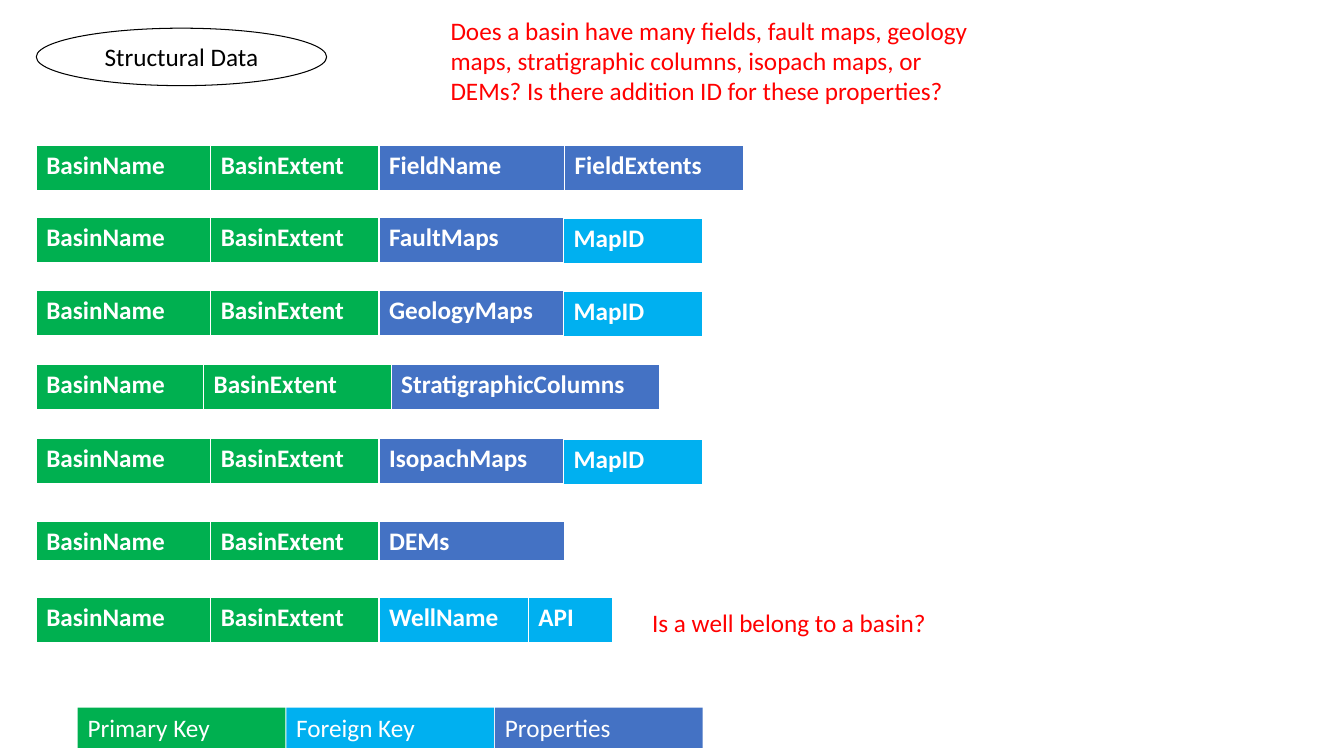
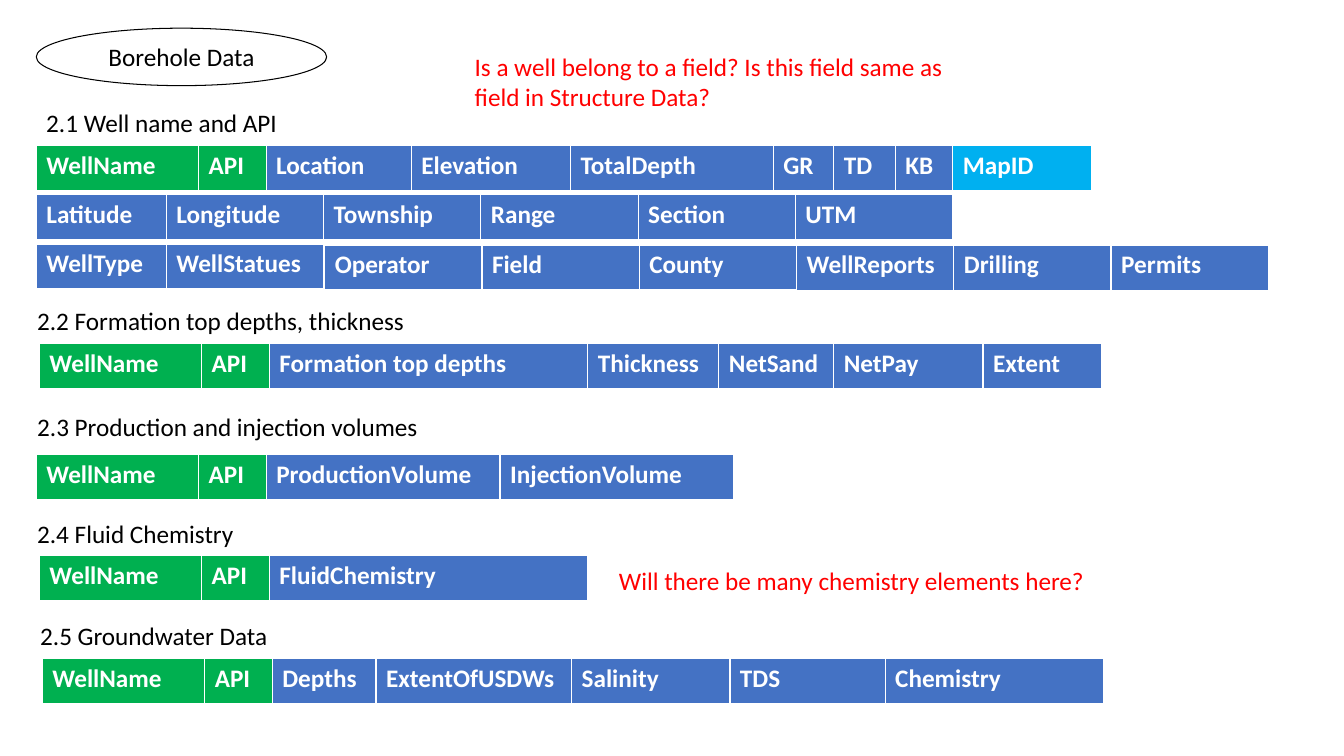
from dataclasses import dataclass
from typing import NamedTuple

from lxml import etree
from pptx import Presentation
from pptx.dml.color import RGBColor
from pptx.enum import shapes, text
from pptx.oxml import ns
from pptx.util import Inches, Pt

# Shared style
PRIMARY = RGBColor(0x00, 0xB0, 0x50)
FOREIGN = RGBColor(0x00, 0xB0, 0xF0)
PROPERTY = RGBColor(0x44, 0x72, 0xC4)
QUESTION = RGBColor(0xFF, 0x00, 0x00)
BLACK = RGBColor(0x00, 0x00, 0x00)
WHITE = RGBColor(0xFF, 0xFF, 0xFF)
FONT = "Calibri"
FONT_SIZE = Pt(18)
EDGE_POINTS = {"a:lnL": 1, "a:lnR": 1, "a:lnT": 1, "a:lnB": 3}
LEFT = 0.36
BAND_HEIGHT = 0.46
LINE_HEIGHT = 0.4


class Field(NamedTuple):
    name: str
    width: float
    fill: RGBColor = PROPERTY


@dataclass
class Band:
    """One row of fields, drawn as a single-row table."""
    left: float
    top: float
    fields: list[Field]
    height: float = BAND_HEIGHT


@dataclass
class Label:
    wording: str
    left: float
    top: float
    width: float
    height: float = LINE_HEIGHT
    color: RGBColor = BLACK


@dataclass
class Page:
    title: str
    labels: list[Label]
    bands: list[Band]


# Drawing functions
def write(frame, wording: str, color: RGBColor, bold: bool = False,
          align=text.PP_ALIGN.LEFT) -> None:
    paragraph = frame.paragraphs[0]
    paragraph.alignment = align
    run = paragraph.add_run()
    run.text = wording
    run.font.name, run.font.size = FONT, FONT_SIZE
    run.font.bold = bold
    run.font.color.rgb = color


def draw_title(slide, title: str) -> None:
    oval = slide.shapes.add_shape(
        shapes.MSO_SHAPE.OVAL, Inches(LEFT), Inches(0.28), Inches(2.88), Inches(0.57))
    oval.shadow.inherit = False
    oval.fill.background()
    oval.line.color.rgb = BLACK
    oval.line.width = Pt(0.75)
    oval.text_frame.vertical_anchor = text.MSO_ANCHOR.MIDDLE
    write(oval.text_frame, title, BLACK, align=text.PP_ALIGN.CENTER)


def draw_label(slide, label: Label) -> None:
    box = slide.shapes.add_textbox(Inches(label.left), Inches(label.top),
                                   Inches(label.width), Inches(label.height))
    box.text_frame.word_wrap = True
    write(box.text_frame, label.wording, label.color)


def draw_edges(cell) -> None:
    properties = cell._tc.get_or_add_tcPr()
    for position, (tag, points) in enumerate(EDGE_POINTS.items()):
        edge = etree.Element(ns.qn(tag), w=str(Pt(points)))
        fill = etree.SubElement(edge, ns.qn("a:solidFill"))
        etree.SubElement(fill, ns.qn("a:srgbClr"), val=str(WHITE))
        properties.insert(position, edge)


def draw_band(slide, band: Band) -> None:
    width = sum(field.width for field in band.fields)
    table = slide.shapes.add_table(
        1, len(band.fields), Inches(band.left), Inches(band.top),
        Inches(width), Inches(band.height)).table
    for column, field in enumerate(band.fields):
        table.columns[column].width = Inches(field.width)
        cell = table.cell(0, column)
        cell.fill.solid()
        cell.fill.fore_color.rgb = field.fill
        draw_edges(cell)
        write(cell.text_frame, field.name, WHITE, bold=True)


def draw_legend(slide, entries: list[Field]) -> None:
    for index, entry in enumerate(entries):
        swatch = slide.shapes.add_shape(
            shapes.MSO_SHAPE.RECTANGLE, Inches(0.77 + 2.07 * index), Inches(7.02),
            Inches(entry.width), Inches(LINE_HEIGHT))
        swatch.shadow.inherit = False
        swatch.fill.solid()
        swatch.fill.fore_color.rgb = entry.fill
        swatch.line.fill.background()
        swatch.text_frame.vertical_anchor = text.MSO_ANCHOR.TOP
        write(swatch.text_frame, entry.name, WHITE)


def draw_page(deck, page: Page):
    slide = deck.slides.add_slide(deck.slide_layouts[6])
    draw_title(slide, page.title)
    for band in page.bands:
        draw_band(slide, band)
    for label in page.labels:
        draw_label(slide, label)
    return slide


# Recurring keys
BASIN_KEY = [Field("BasinName", 1.73, PRIMARY), Field("BasinExtent", 1.67, PRIMARY)]
WELL_KEY = [Field("WellName", 1.61, PRIMARY), Field("API", 0.67, PRIMARY)]
MAP_ID = [Field("MapID", 1.38, FOREIGN)]
WELL_KEY_WIDTH = sum(field.width for field in WELL_KEY)


def even(width: float, *names: str) -> list[Field]:
    return [Field(name, width) for name in names]


def basin_band(top: float, *names: str, height: float = BAND_HEIGHT) -> Band:
    return Band(LEFT, top, BASIN_KEY + even(1.84, *names), height)


def map_bands(top: float, name: str) -> list[Band]:
    return [basin_band(top, name), Band(5.59, top + 0.01, MAP_ID)]


def well_bands(left: float, top: float, fields: list[Field]) -> list[Band]:
    return [Band(left, top, WELL_KEY), Band(left + WELL_KEY_WIDTH, top, fields)]


# Structural data
structural = Page(
    "Structural Data",
    [Label("Does a basin have many fields, fault maps, geology maps, stratigraphic "
           "columns, isopach maps, or DEMs? Is there addition ID for these properties?",
           4.37, 0.1, 5.33, 1.31, QUESTION),
     Label("Is a well belong to a basin?", 6.37, 5.98, 5.33, color=QUESTION)],
    [Band(LEFT, 1.44, BASIN_KEY + [Field("FieldName", 1.84), Field("FieldExtents", 1.78)]),
     *map_bands(2.16, "FaultMaps"),
     *map_bands(2.88, "GeologyMaps"),
     Band(LEFT, 3.62, [Field("BasinName", 1.66, PRIMARY),
                       Field("BasinExtent", 1.86, PRIMARY),
                       Field("StratigraphicColumns", 2.66)]),
     *map_bands(4.35, "IsopachMaps"),
     basin_band(5.17, "DEMs", height=LINE_HEIGHT),
     Band(LEFT, 5.93, BASIN_KEY),
     Band(3.76, 5.93, [Field("WellName", 1.48, FOREIGN), Field("API", 0.84, FOREIGN)])])

LEGEND = [Field("Primary Key", 2.06, PRIMARY), Field("Foreign Key", 2.06, FOREIGN),
          Field("Properties", 2.06, PROPERTY)]

# Borehole data
borehole = Page(
    "Borehole Data",
    [Label("2.1 Well name and API", LEFT, 1.02, 2.51),
     Label("2.2 Formation top depths, thickness", 0.27, 2.98, 3.96),
     Label("2.3 Production and injection volumes", 0.27, 4.03, 5.21),
     Label("2.4 Fluid Chemistry", 0.27, 5.09, 3.96),
     Label("2.5 Groundwater Data", 0.3, 6.1, 3.96),
     Label("Will there be many chemistry elements here?", 6.04, 5.56, 5.33, color=QUESTION),
     Label("Is a well belong to a field? Is this field same as field in Structure Data?",
           4.61, 0.46, 5.33, 0.71, QUESTION)],
    [Band(LEFT, 1.44, WELL_KEY + [
        Field("Location", 1.44), Field("Elevation", 1.58), Field("TotalDepth", 2.01),
        Field("GR", 0.6), Field("TD", 0.61), Field("KB", 0.6)]),
     Band(9.45, 1.44, MAP_ID),
     Band(LEFT, 1.93, [Field("Latitude", 1.29)]
          + even(1.56, "Longitude", "Township", "Range", "Section", "UTM")),
     Band(LEFT, 2.42, [Field("WellType", 1.29), Field("WellStatues", 1.56)]),
     Band(3.22, 2.43, even(1.56, "Operator", "Field", "County")),
     Band(7.9, 2.43, even(1.56, "WellReports", "Drilling", "Permits"), 0.47),
     *well_bands(0.39, 3.41, [
         Field("Formation top depths", 3.16), Field("Thickness", 1.3),
         Field("NetSand", 1.14), Field("NetPay", 1.48), Field("Extent", 1.18)]),
     *well_bands(LEFT, 4.51, even(2.32, "ProductionVolume", "InjectionVolume")),
     *well_bands(0.39, 5.51, [Field("FluidChemistry", 3.16)]),
     *well_bands(0.42, 6.53, [
         Field("Depths", 1.03), Field("ExtentOfUSDWs", 1.94), Field("Salinity", 1.57),
         Field("TDS", 1.54), Field("Chemistry", 2.17)])])

# Deck
deck = Presentation()
deck.slide_width, deck.slide_height = Inches(13.33), Inches(7.5)
draw_legend(draw_page(deck, structural), LEGEND)
draw_page(deck, borehole)
deck.save("out.pptx")
